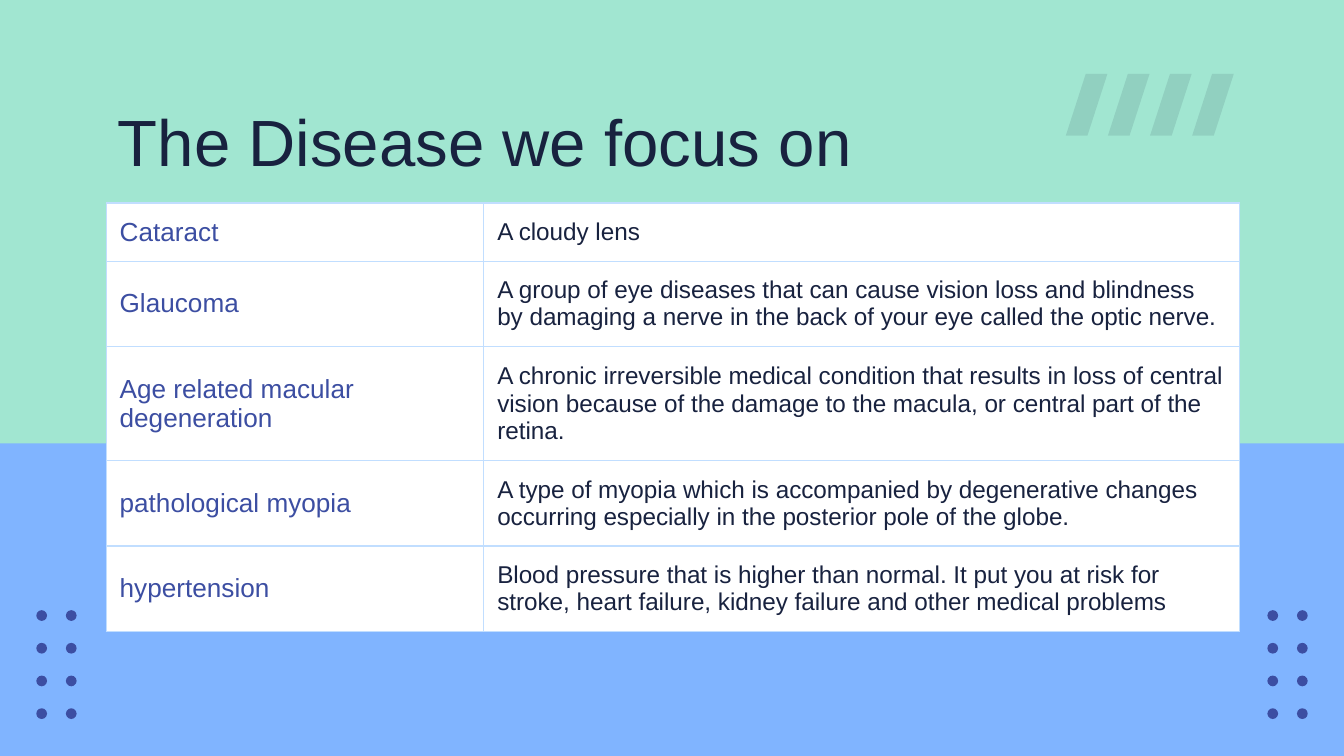
from dataclasses import dataclass
from itertools import product

from lxml.etree import SubElement
from pptx import Presentation
from pptx.dml.color import RGBColor
from pptx.enum.shapes import MSO_SHAPE
from pptx.enum.text import MSO_ANCHOR
from pptx.oxml.ns import qn
from pptx.util import Inches, Pt


@dataclass(frozen=True)
class Theme:
    font: str = "Arial"
    mint: str = "A1E6D1"
    blue: str = "80B4FF"
    indigo: str = "3C4EA2"
    navy: str = "18223F"
    white: str = "FFFFFF"
    border: str = "C1DEFF"
    title_size: int = 35
    name_size: int = 14
    description_size: int = 13


@dataclass(frozen=True)
class Disease:
    name: str
    description: str


THEME = Theme()
ROW_HEIGHT = 0.41  # rows grow with their text
DISEASES = [
    Disease("Cataract", "A cloudy lens"),
    Disease("Glaucoma", "A group of eye diseases that can cause vision loss and blindness "
            "by damaging a nerve in the back of your eye called the optic nerve."),
    Disease("Age related macular degeneration",
            "A chronic irreversible medical condition that results in loss of central "
            "vision because of the damage to the macula, or central part of the retina."),
    Disease("pathological myopia",
            "A type of myopia which is accompanied by degenerative changes "
            "occurring especially in the posterior pole of the globe."),
    Disease("hypertension", "Blood pressure that is higher than normal. It put you at risk for "
            "stroke, heart failure, kidney failure and other medical problems"),
]


def add_filled(slide, kind, left: float, top: float, width: float, height: float, color: str):
    shape = slide.shapes.add_shape(kind, Inches(left), Inches(top), Inches(width), Inches(height))
    shape.shadow.inherit = False
    shape.fill.solid()
    shape.fill.fore_color.rgb = RGBColor.from_string(color)
    shape.line.fill.background()
    return shape


def write(text_frame, text: str, size: int, color: str) -> None:
    text_frame.text = text
    para = text_frame.paragraphs[0]
    para.line_spacing = 1.0
    span = para.runs[0]
    span.font.name = THEME.font
    span.font.size = Pt(size)
    span.font.color.rgb = RGBColor.from_string(color)


def set_margins(holder) -> None:
    holder.margin_left = holder.margin_right = Inches(0.1)
    holder.margin_top = holder.margin_bottom = Inches(0.1)


def add_dots(slide, left: float) -> None:
    for column, row in product(range(2), range(4)):
        add_filled(slide, MSO_SHAPE.OVAL, left + 0.22 * column, 4.54 + 0.73 / 3 * row,
                   0.08, 0.08, THEME.indigo)


def add_slash(slide, left: float) -> None:
    slash = add_filled(slide, MSO_SHAPE.PARALLELOGRAM, left, 0.55, 0.31, 0.46, THEME.navy)
    slash.adjustments[0] = 0.48
    color = slash.fill._xPr.find(qn("a:solidFill"))[0]
    SubElement(color, qn("a:alpha"), val="11000")


def add_title(slide, text: str) -> None:
    box = slide.shapes.add_textbox(Inches(0.78), Inches(0.65), Inches(8.44), Inches(0.59))
    box.text_frame.word_wrap = True
    set_margins(box.text_frame)
    write(box.text_frame, text, THEME.title_size, THEME.navy)


def fill_cell(cell, text: str, size: int, color: str) -> None:
    write(cell.text_frame, text, size, color)
    cell.vertical_anchor = MSO_ANCHOR.MIDDLE
    set_margins(cell)
    properties = cell._tc.get_or_add_tcPr()
    for side in ("lnL", "lnR", "lnT", "lnB"):
        line = SubElement(properties, qn(f"a:{side}"), w=str(Pt(0.75)))
        SubElement(SubElement(line, qn("a:solidFill")), qn("a:srgbClr"), val=THEME.border)
    cell.fill.solid()
    cell.fill.fore_color.rgb = RGBColor.from_string(THEME.white)


def add_disease_table(slide, diseases: list[Disease]) -> None:
    table = slide.shapes.add_table(len(diseases), 2, Inches(0.79), Inches(1.51),
                                   Inches(8.43), Inches(ROW_HEIGHT * len(diseases))).table
    table.first_row = table.horz_banding = False
    table.columns[0].width = Inches(2.81)
    table.columns[1].width = Inches(5.62)
    for index, disease in enumerate(diseases):
        fill_cell(table.cell(index, 0), disease.name, THEME.name_size, THEME.indigo)
        fill_cell(table.cell(index, 1), disease.description, THEME.description_size, THEME.navy)


def main() -> None:
    deck = Presentation()
    deck.slide_width = Inches(10)
    deck.slide_height = deck.slide_width * 9 // 16
    slide = deck.slides.add_slide(deck.slide_layouts[6])

    # Background and dot grids
    slide.background.fill.solid()
    slide.background.fill.fore_color.rgb = RGBColor.from_string(THEME.blue)
    add_filled(slide, MSO_SHAPE.RECTANGLE, -0.01, 0, 10.02, 3.3, THEME.mint)
    for left in (0.27, 9.43):
        add_dots(slide, left)

    # Title and table
    add_title(slide, "The Disease we focus on")
    add_disease_table(slide, DISEASES)

    # Slanted bars
    for index in range(4):
        add_slash(slide, 7.93 + 0.94 / 3 * index)

    deck.save("out.pptx")


if __name__ == "__main__":
    main()
